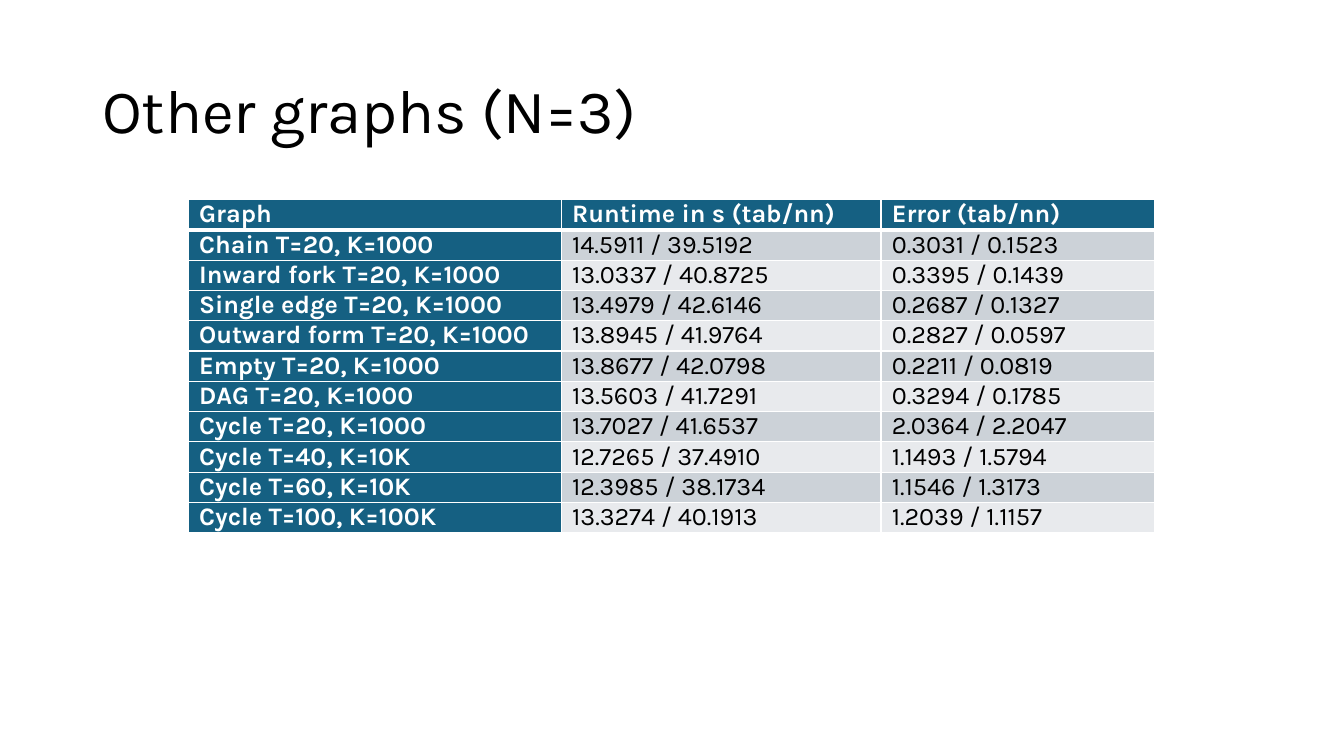
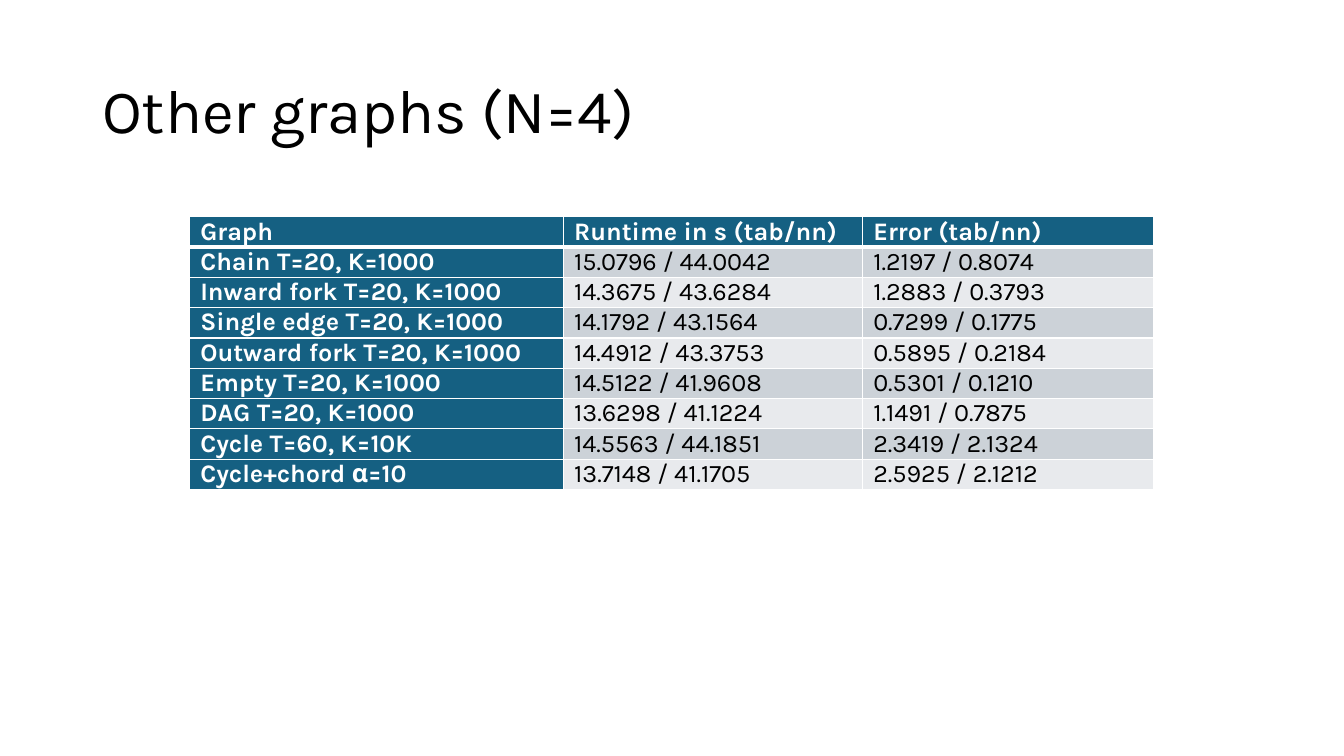
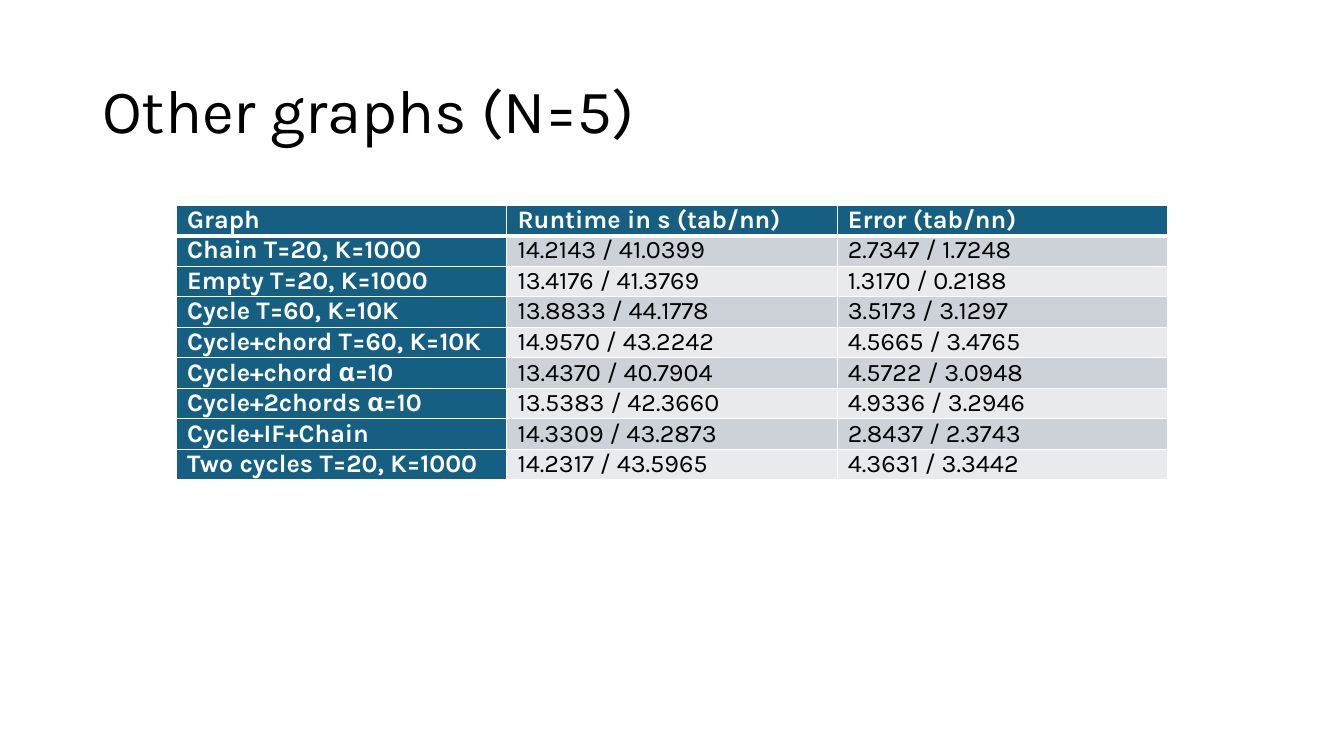
from dataclasses import dataclass

import pptx
import pptx.dml.color
import pptx.enum.text
import pptx.oxml
import pptx.oxml.ns
import pptx.util

FONT = "Karla"
BLACK = "000000"
WHITE = "FFFFFF"
HEADING_FILL = "156082"
BAND_FILLS = ("CCD2D8", "E8EAED")
HEADER = ("Graph", "Runtime in s (tab/nn)", "Error (tab/nn)")
THIN, THICK = 1, 3


@dataclass(frozen=True)
class ResultSlide:
    """One slide: a title and a result table; lengths are in points."""
    title: str
    left: float
    top: float
    column_widths: tuple[float, ...]
    row_height: float
    results: tuple[tuple[str, str, str], ...]


RESULT_SLIDES = (
    ResultSlide("Other graphs (N=3)", 134.6, 142.6, (266.4, 228.4, 195.6), 21.25, (
        ("Chain T=20, K=1000", "14.5911 / 39.5192", "0.3031 / 0.1523"),
        ("Inward fork T=20, K=1000", "13.0337 / 40.8725", "0.3395 / 0.1439"),
        ("Single edge T=20, K=1000", "13.4979 / 42.6146", "0.2687 / 0.1327"),
        ("Outward form T=20, K=1000", "13.8945 / 41.9764", "0.2827 / 0.0597"),
        ("Empty T=20, K=1000", "13.8677 / 42.0798", "0.2211 / 0.0819"),
        ("DAG T=20, K=1000", "13.5603 / 41.7291", "0.3294 / 0.1785"),
        ("Cycle T=20, K=1000", "13.7027 / 41.6537", "2.0364 / 2.2047"),
        ("Cycle T=40, K=10K", "12.7265 / 37.4910", "1.1493 / 1.5794"),
        ("Cycle T=60, K=10K", "12.3985 / 38.1734", "1.1546 / 1.3173"),
        ("Cycle T=100, K=100K", "13.3274 / 40.1913", "1.2039 / 1.1157"),
    )),
    ResultSlide("Other graphs (N=4)", 135.4, 154.9, (267, 213.7, 208.2), 21.25, (
        ("Chain T=20, K=1000", "15.0796 / 44.0042", "1.2197 / 0.8074"),
        ("Inward fork T=20, K=1000", "14.3675 / 43.6284", "1.2883 / 0.3793"),
        ("Single edge T=20, K=1000", "14.1792 / 43.1564", "0.7299 / 0.1775"),
        ("Outward fork T=20, K=1000", "14.4912 / 43.3753", "0.5895 / 0.2184"),
        ("Empty T=20, K=1000", "14.5122 / 41.9608", "0.5301 / 0.1210"),
        ("DAG T=20, K=1000", "13.6298 / 41.1224", "1.1491 / 0.7875"),
        ("Cycle T=60, K=10K", "14.5563 / 44.1851", "2.3419 / 2.1324"),
        ("Cycle+chord α=10", "13.7148 / 41.1705", "2.5925 / 2.1212"),
    )),
    ResultSlide("Other graphs (N=5)", 126, 146.6, (236, 236, 236), 21.8, (
        ("Chain T=20, K=1000", "14.2143 / 41.0399", "2.7347 / 1.7248"),
        ("Empty T=20, K=1000", "13.4176 / 41.3769", "1.3170 / 0.2188"),
        ("Cycle T=60, K=10K", "13.8833 / 44.1778", "3.5173 / 3.1297"),
        ("Cycle+chord T=60, K=10K", "14.9570 / 43.2242", "4.5665 / 3.4765"),
        ("Cycle+chord α=10", "13.4370 / 40.7904", "4.5722 / 3.0948"),
        ("Cycle+2chords α=10", "13.5383 / 42.3660", "4.9336 / 3.2946"),
        ("Cycle+IF+Chain", "14.3309 / 43.2873", "2.8437 / 2.3743"),
        ("Two cycles T=20, K=1000", "14.2317 / 43.5965", "4.3631 / 3.3442"),
    )),
)


def color(value: str) -> pptx.dml.color.RGBColor:
    return pptx.dml.color.RGBColor.from_string(value)


def format_paragraph(paragraph, size: float, text_color: str, bold: bool) -> None:
    for run in paragraph.runs:
        run.font.name = FONT
        run.font.size = pptx.util.Pt(size)
        run.font.bold = bold
        run.font.color.rgb = color(text_color)


def add_title(slide, text: str) -> None:
    box = slide.shapes.add_textbox(*map(pptx.util.Pt, (66, 28.75, 828, 104.4)))
    frame = box.text_frame
    frame.word_wrap = True
    frame.vertical_anchor = pptx.enum.text.MSO_ANCHOR.MIDDLE
    frame.text = text
    frame.paragraphs[0].line_spacing = 0.9
    format_paragraph(frame.paragraphs[0], 44, BLACK, bold=False)


def set_borders(cell, top: float, bottom: float) -> None:
    """Draw white borders; call before filling, as the schema puts lines first."""
    properties = cell._tc.get_or_add_tcPr()
    for side, width in zip("LRTB", (THIN, THIN, top, bottom)):
        properties.append(pptx.oxml.parse_xml(
            f'<a:ln{side} {pptx.oxml.ns.nsdecls("a")} w="{pptx.util.Pt(width)}">'
            f'<a:solidFill><a:srgbClr val="{WHITE}"/></a:solidFill></a:ln{side}>'))


def fill_cell(cell, text: str, row: int, column: int) -> None:
    is_heading = row == 0 or column == 0
    cell.margin_left = cell.margin_right = pptx.util.Pt(7.7)
    cell.margin_top = cell.margin_bottom = pptx.util.Pt(0)
    set_borders(cell, THICK if row == 1 else THIN, THICK if row == 0 else THIN)
    cell.fill.solid()
    cell.fill.fore_color.rgb = color(
        HEADING_FILL if is_heading else BAND_FILLS[(row - 1) % 2])
    cell.text_frame.text = text
    format_paragraph(cell.text_frame.paragraphs[0], 18,
                     WHITE if is_heading else BLACK, is_heading)


def add_result_table(slide, content: ResultSlide) -> None:
    rows = (HEADER, *content.results)
    table = slide.shapes.add_table(
        len(rows), len(HEADER),
        pptx.util.Pt(content.left), pptx.util.Pt(content.top),
        pptx.util.Pt(sum(content.column_widths)),
        pptx.util.Pt(content.row_height * len(rows))).table
    table.first_col = True
    for column, width in zip(table.columns, content.column_widths):
        column.width = pptx.util.Pt(width)
    for row_index, texts in enumerate(rows):
        table.rows[row_index].height = pptx.util.Pt(content.row_height)
        for column_index, text in enumerate(texts):
            fill_cell(table.cell(row_index, column_index), text, row_index, column_index)


def main() -> None:
    presentation = pptx.Presentation()
    presentation.slide_width = pptx.util.Pt(960)
    presentation.slide_height = pptx.util.Pt(540)
    blank_layout = presentation.slide_layouts[6]
    for content in RESULT_SLIDES:
        slide = presentation.slides.add_slide(blank_layout)
        add_title(slide, content.title)
        add_result_table(slide, content)
    presentation.save("out.pptx")


if __name__ == "__main__":
    main()
